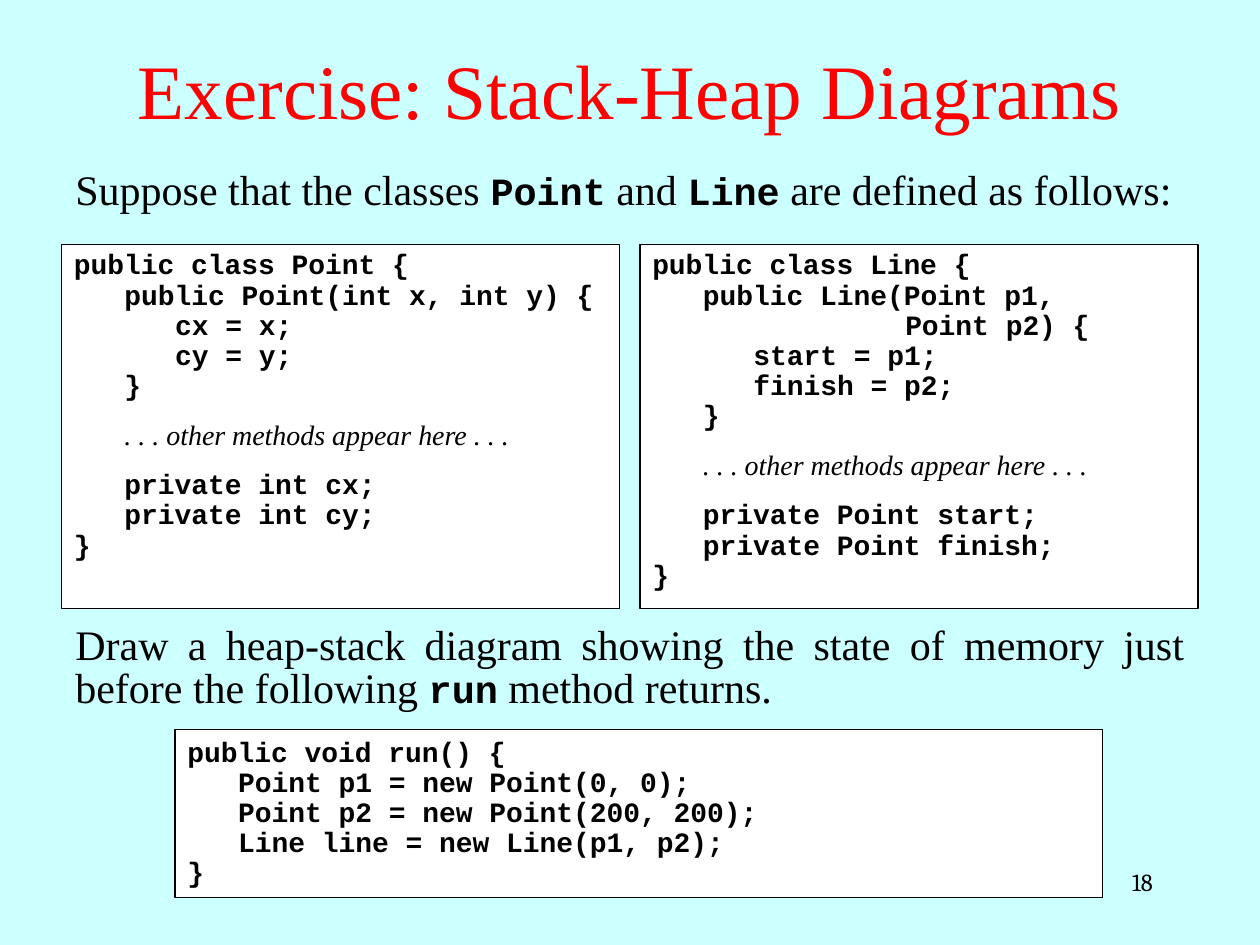
from dataclasses import dataclass

from pptx import Presentation
from pptx import util as u
from pptx.dml import color
from pptx.enum import shapes, text

RED, BLACK, WHITE, SKY = "FF0000", "000000", "FFFFFF", "CCFFFF"
TIMES, MONO = "Times New Roman", "Courier New"
LEFT, RIGHT = text.PP_ALIGN.LEFT, text.PP_ALIGN.RIGHT
MID, FULL = text.PP_ALIGN.CENTER, text.PP_ALIGN.JUSTIFY
TOP, CORE = text.MSO_ANCHOR.TOP, text.MSO_ANCHOR.MIDDLE
STEP = 1.02
GAP = u.Pt(11)

HEAD = {"name": TIMES, "size": u.Pt(44)}
BODY = {"name": TIMES, "size": u.Pt(24), "bold": False}
TERM = {"name": MONO, "size": u.Pt(22), "bold": True}
CODE = {"name": MONO, "size": u.Pt(16), "bold": True}
NOTE = {"name": TIMES, "size": u.Pt(16), "bold": False, "italic": True}
PAGE = {"name": "Cambria", "size": u.Pt(14)}


@dataclass
class Area:
    left: float
    top: float
    width: float
    height: float

    def cm(self) -> list:
        return [u.Cm(v) for v in (self.left, self.top, self.width, self.height)]


@dataclass
class Row:
    text: str
    level: int = 0
    style: dict = None
    gap: int = 0


@dataclass
class Code:
    area: Area
    rows: list
    anchor: object = TOP


@dataclass
class Prose:
    area: Area
    words: list
    align: object = FULL
    space: float = 1.0
    anchor: object = TOP
    tint: str = BLACK


def paint(item, tint: str) -> None:
    item.rgb = color.RGBColor.from_string(tint)


def fill(item, tint: str) -> None:
    item.solid()
    paint(item.fore_color, tint)


def write(par, words: str, style: dict, tint: str = BLACK) -> None:
    run = par.add_run()
    run.text = words
    for key, val in style.items():
        setattr(run.font, key, val)
    paint(run.font.color, tint)


def draw_code(slide, code: Code) -> None:
    box = slide.shapes.add_shape(shapes.MSO_SHAPE.RECTANGLE, *code.area.cm())
    box.shadow.inherit = False
    fill(box.fill, WHITE)
    fill(box.line.fill, BLACK)
    box.line.width = u.Pt(0.75)
    frame = box.text_frame
    frame.word_wrap = True
    frame.vertical_anchor = code.anchor
    for num, row in enumerate(code.rows):
        par = frame.add_paragraph() if num else frame.paragraphs[0]
        form = {"alignment": LEFT, "line_spacing": 0.9, "space_before": row.gap}
        for key, val in form.items():
            setattr(par, key, val)
        par._p.get_or_add_pPr().set("marL", str(u.Cm(row.level * STEP)))
        write(par, row.text, row.style or CODE)


def draw_prose(slide, prose: Prose) -> None:
    frame = slide.shapes.add_textbox(*prose.area.cm()).text_frame
    frame.word_wrap = True
    frame.vertical_anchor = prose.anchor
    par = frame.paragraphs[0]
    par.alignment = prose.align
    par.line_spacing = prose.space
    for words, style in prose.words:
        write(par, words, style, prose.tint)


def build_class(name: str, head: list, sets: list, fields: list) -> list:
    return [
        Row(f"public class {name} {{"),
        *head,
        *[Row(line, 2) for line in sets],
        Row("}", 1),
        Row(". . . other methods appear here . . .", 1, NOTE, GAP),
        Row(fields[0], 1, gap=GAP),
        Row(fields[1], 1),
        Row("}"),
    ]


POINT = build_class(
    "Point",
    [Row("public Point(int x, int y) {", 1)],
    ["cx = x;", "cy = y;"],
    ["private int cx;", "private int cy;"],
)
LINE = build_class(
    "Line",
    [Row("public Line(Point p1,", 1), Row("Point p2) {", 5)],
    ["start = p1;", "finish = p2;"],
    ["private Point start;", "private Point finish;"],
)
RUN = [
    Row("public void run() {"),
    Row("Point p1 = new Point(0, 0);", 1),
    Row("Point p2 = new Point(200, 200);", 1),
    Row("Line line = new Line(p1, p2);", 1),
    Row("}"),
]

CODES = [
    Code(Area(3.53, 14.71, 18.69, 3.38), RUN, CORE),
    Code(Area(1.24, 4.93, 11.25, 7.34), POINT),
    Code(Area(12.9, 4.93, 11.25, 7.34), LINE),
]
PROSE = [
    Prose(Area(0, 0.2, 25.4, 3.18), [("Exercise: Stack-Heap Diagrams", HEAD)],
          MID, anchor=CORE, tint=RED),
    Prose(Area(1.27, 3.18, 22.86, 1.27), [
        ("Suppose that the classes ", BODY), ("Point", TERM), (" and ", BODY),
        ("Line", TERM), (" are defined as follows:", BODY)]),
    Prose(Area(1.27, 12.5, 22.86, 1.98), [
        ("Draw a heap-stack diagram showing the state of memory just "
         "before the following ", BODY),
        ("run", TERM), (" method returns.", BODY)], space=0.85),
    Prose(Area(18.21, 17.35, 5.28, 1.27), [("18", PAGE)], RIGHT),
]


def main() -> None:
    deck = Presentation()
    deck.slide_width, deck.slide_height = u.Cm(25.4), u.Cm(19.05)
    slide = deck.slides.add_slide(deck.slide_layouts[6])
    fill(slide.background.fill, SKY)
    for code in CODES:
        draw_code(slide, code)
    for prose in PROSE:
        draw_prose(slide, prose)
    deck.save("out.pptx")


if __name__ == "__main__":
    main()
